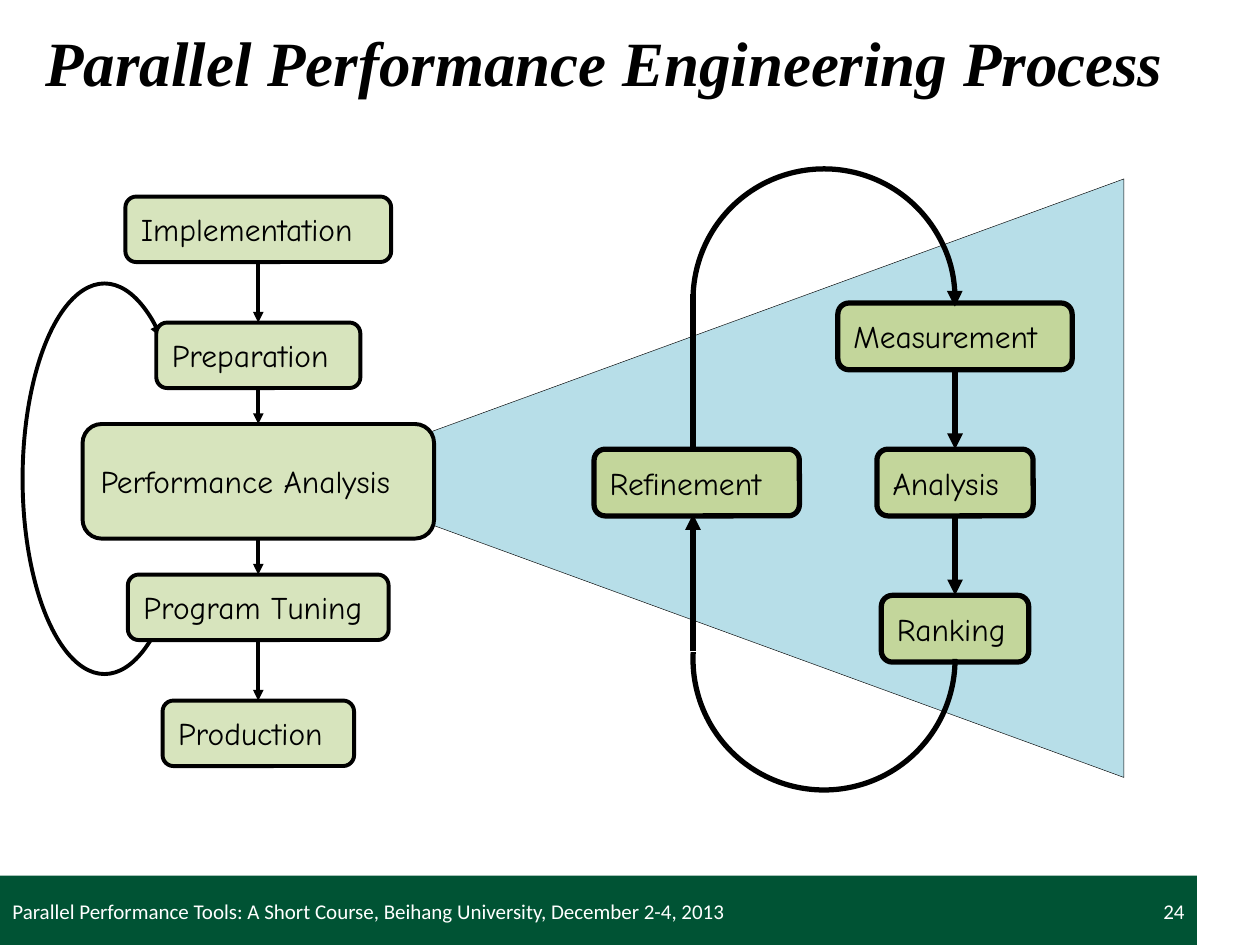
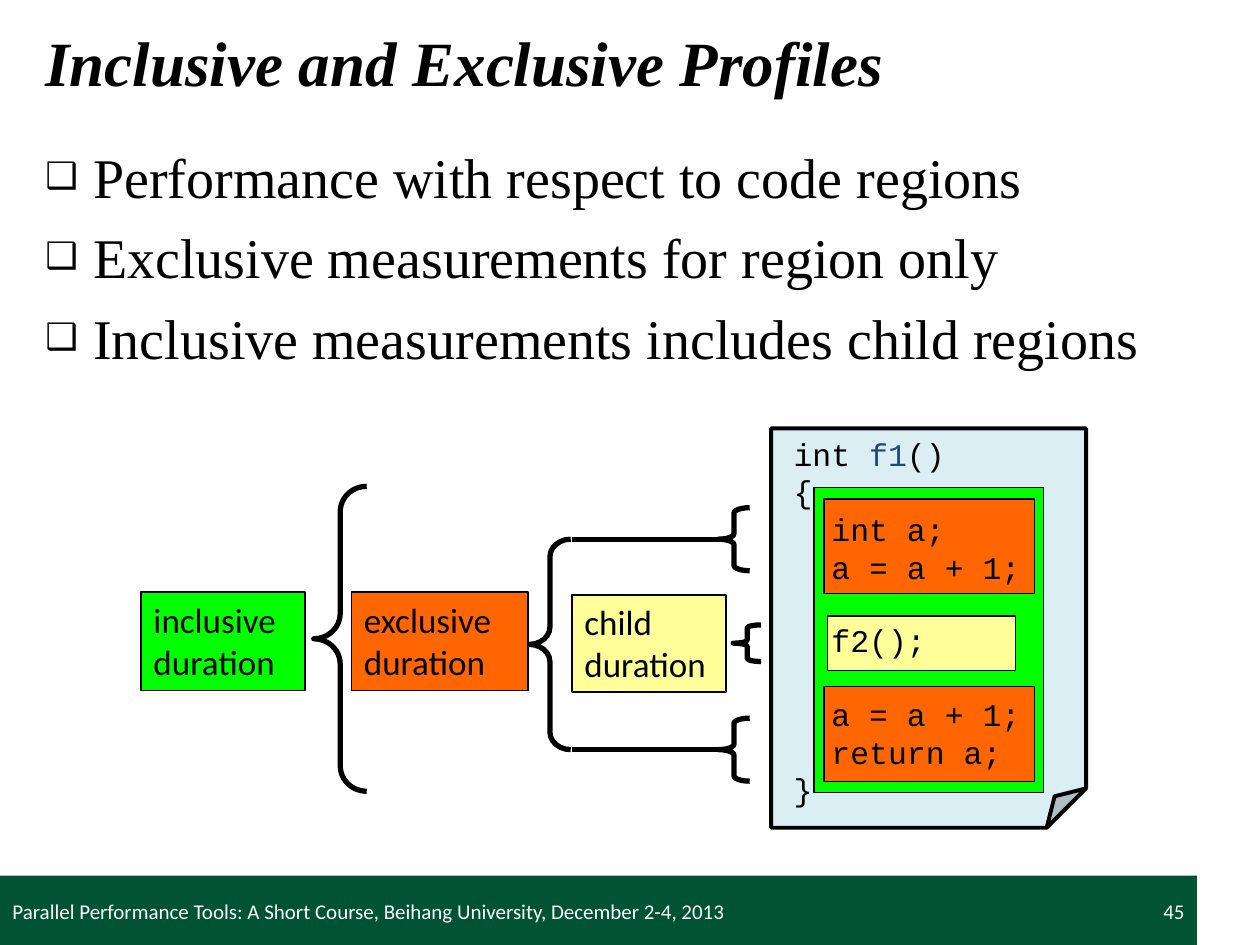
import pptx
import pptx.util
import pptx.dml.color
import pptx.enum.shapes
import pptx.enum.text
import pptx.oxml.ns
from lxml import etree

Inches, Pt = pptx.util.Inches, pptx.util.Pt
RGBColor = pptx.dml.color.RGBColor
SHAPE = pptx.enum.shapes.MSO_SHAPE
ANCHOR = pptx.enum.text.MSO_ANCHOR
ALIGN = pptx.enum.text.PP_ALIGN
qn = pptx.oxml.ns.qn

# Colours and fonts
BLACK, WHITE = RGBColor(0, 0, 0), RGBColor(255, 255, 255)
BAND_GREEN = RGBColor(0x00, 0x53, 0x34)
STEP_GREEN = RGBColor(0xD7, 0xE4, 0xBD)
CYCLE_GREEN = RGBColor(0xC3, 0xD6, 0x9B)
WEDGE_BLUE = RGBColor(0xB7, 0xDE, 0xE8)
PAGE_BLUE = RGBColor(0xDB, 0xEE, 0xF4)
NAME_BLUE = RGBColor(0x1F, 0x49, 0x7D)
LIME = RGBColor(0x00, 0xFF, 0x00)
ORANGE = RGBColor(0xFF, 0x66, 0x00)
YELLOW = RGBColor(0xFF, 0xFF, 0x99)
SERIF, SANS, HAND, MONO = "Times New Roman", "Calibri", "Comic Neue", "Courier New"

# Shared content
WIDTH, HEIGHT = 10, 7.5
FOOTER = "Parallel Performance Tools: A Short Course, Beihang University, December 2-4, 2013"
BAND_WIDTH = 0.95 * WIDTH

# Process slide: (text, width, height) of the steps, one per row
STEPS = [
    ("Implementation", 2.11, 0.52),
    ("Preparation", 1.62, 0.52),
    ("Performance Analysis", 2.79, 0.91),
    ("Program Tuning", 2.07, 0.52),
    ("Production", 1.52, 0.52),
]
STEP_X, STEP_Y, STEP_PITCH = 2.05, 1.82, 1.0
CYCLE = [("Measurement", 1.86), ("Analysis", 1.24), ("Ranking", 1.17)]
CYCLE_X, CYCLE_Y, CYCLE_PITCH, CYCLE_HEIGHT = 7.58, 2.67, 1.16, 0.53
REFINEMENT = ("Refinement", 1.63)
RETURN_X, RADIUS = 5.5, 1.04
ARC_TOP_Y, ARC_BOTTOM_Y = 2.38, 5.23
WEDGE = [(8.92, 1.42), (2.92, 3.61), (2.92, 3.98), (8.92, 6.17)]

# Profiles slide
BULLETS = [
    "Performance with respect to code regions",
    "Exclusive measurements for region only",
    "Inclusive measurements includes child regions",
]
DURATIONS = [  # text, left, top, width, height, colour
    ("inclusive\nduration", 1.12, 4.7, 1.3, 0.78, LIME),
    ("exclusive\nduration", 2.79, 4.7, 1.4, 0.78, ORANGE),
    ("child\nduration", 4.54, 4.72, 1.22, 0.77, YELLOW),
]
REGIONS = [  # left, top, width, height, colour
    (6.46, 3.87, 1.82, 2.42, LIME),
    (6.54, 3.96, 1.67, 0.75, ORANGE),
    (6.57, 4.89, 1.49, 0.43, YELLOW),
    (6.54, 5.45, 1.67, 0.75, ORANGE),
]
BRACES = [  # left, top, width, height, curl
    (2.49, 3.86, 0.42, 2.42, 0.48),
    (4.2, 4.28, 0.33, 1.67, 0.42),
    (5.7, 4.03, 0.25, 0.5, 0.17),
    (5.82, 4.96, 0.22, 0.29, 0.11),
    (5.7, 5.7, 0.25, 0.5, 0.17),
]
BRACE_LINKS = [(4.54, 4.28, 5.79), (4.54, 5.95, 5.7)]  # left, y, right
CODE = [  # runs, indent level, skipped lines before
    ([("int ", BLACK), ("f1", NAME_BLUE), ("()", BLACK)], 0, 0),
    ([("{", BLACK)], 0, 0),
    ([("int a;", BLACK)], 1, 0),
    ([("a = a + 1;", BLACK)], 1, 0),
    ([("f2();", BLACK)], 1, 1),
    ([("a = a + 1;", BLACK)], 1, 1),
    ([("return a;", BLACK)], 1, 0),
    ([("}", BLACK)], 0, 0),
]
CODE_LINE, CODE_INDENT = 20.4, 0.3


def set_font(paragraph, name, size, colour=BLACK):
    font = paragraph.font
    font.name, font.size, font.color.rgb = name, Pt(size), colour


def style_line(line, weight, arrow=False, colour=BLACK):
    line.color.rgb, line.width = colour, Pt(weight)
    if arrow:
        ln = line.fill._xPr
        etree.SubElement(ln, qn("a:tailEnd"), type="triangle")


def style_shape(shape, fill, weight):
    shape.shadow.inherit = False
    if fill is None:
        shape.fill.background()
    else:
        shape.fill.solid()
        shape.fill.fore_color.rgb = fill
    if weight:
        style_line(shape.line, weight)
    else:
        shape.line.fill.background()


def add_box(slide, kind, left, top, width, height, fill, weight):
    box = slide.shapes.add_shape(kind, *map(Inches, (left, top, width, height)))
    style_shape(box, fill, weight)
    return box


def adjust(shape, **values):
    """Set the raw guide values of a preset shape."""
    guides = shape._element.spPr.find(qn("a:prstGeom")).find(qn("a:avLst"))
    for guide in list(guides):
        if guide.get("name") in values:
            guides.remove(guide)
    for name, value in values.items():
        etree.SubElement(guides, qn("a:gd"), name=name, fmla=f"val {round(value)}")


def write(shape, text, font, size, colour=BLACK, anchor=ANCHOR.MIDDLE, align=ALIGN.LEFT):
    frame = shape.text_frame
    frame.word_wrap, frame.vertical_anchor = True, anchor
    frame.text = text
    for paragraph in frame.paragraphs:
        paragraph.alignment = align
        set_font(paragraph, font, size, colour)


def add_rounded(slide, text, x, y, width, height, fill, weight):
    """Rounded box centred on x, y."""
    box = add_box(slide, SHAPE.ROUNDED_RECTANGLE, x - width / 2, y - height / 2,
                  width, height, fill, weight)
    write(box, text, HAND, 18)
    return box


def add_line(slide, start, end, weight, arrow=False):
    line = slide.shapes.add_connector(pptx.enum.shapes.MSO_CONNECTOR.STRAIGHT,
                                      *map(Inches, (*start, *end)))
    style_line(line.line, weight, arrow)
    etree.SubElement(line._element.spPr, qn("a:effectLst"))
    return line


def chain(slide, boxes, weight):
    """Arrows from the bottom of each box to the top of the next."""
    for upper, lower in zip(boxes, boxes[1:]):
        arrow = add_line(slide, (0, 0), (1, 1), weight, arrow=True)
        arrow.begin_connect(upper, 2)
        arrow.end_connect(lower, 0)


def add_arc(slide, x, y, rx, ry, start, end, weight, arrow=False):
    """Clockwise arc around x, y between two angles in degrees."""
    arc = add_box(slide, SHAPE.ARC, x - rx, y - ry, 2 * rx, 2 * ry, None, weight)
    adjust(arc, adj1=start * 60000, adj2=end * 60000)
    if arrow:
        style_line(arc.line, weight, arrow)


def start_slide(prs, layout, title, number):
    """Slide with green footer band, title and page number."""
    slide = prs.slides.add_slide(prs.slide_layouts[layout])
    add_box(slide, SHAPE.RECTANGLE, 0, 6.95, BAND_WIDTH, 0.55, BAND_GREEN, 0)
    heading = slide.shapes.title
    place(heading, 0.26, 0.01, 9.74, 0.96)
    write(heading, title, SERIF, 36)
    heading.text_frame.paragraphs[0].font.bold = True
    heading.text_frame.paragraphs[0].font.italic = True
    for text, left, width, align in [(FOOTER, 0, 6.58, ALIGN.LEFT),
                                     (number, 7.17, BAND_WIDTH - 7.17, ALIGN.RIGHT)]:
        note = slide.shapes.add_textbox(*map(Inches, (left, 6.97, width, 0.53)))
        write(note, text, SANS, 12, WHITE, align=align)
    return slide


def place(shape, left, top, width, height):
    shape.left, shape.top = Inches(left), Inches(top)
    shape.width, shape.height = Inches(width), Inches(height)


def build_process(prs):
    slide = start_slide(prs, 5, "Parallel Performance Engineering Process", "24")

    # Wedge opening from the analysis step
    outline = [(Inches(x), Inches(y)) for x, y in WEDGE]
    builder = slide.shapes.build_freeform(*outline[0])
    builder.add_line_segments(outline[1:], close=True)
    style_shape(builder.convert_to_shape(), WEDGE_BLUE, 0.25)

    # Analysis cycle
    stages = [add_rounded(slide, text, CYCLE_X, CYCLE_Y + row * CYCLE_PITCH, width,
                          CYCLE_HEIGHT, CYCLE_GREEN, 3)
              for row, (text, width) in enumerate(CYCLE)]
    add_rounded(slide, REFINEMENT[0], RETURN_X + 0.03, CYCLE_Y + CYCLE_PITCH,
                REFINEMENT[1], CYCLE_HEIGHT, CYCLE_GREEN, 3)
    arc_x = (RETURN_X + CYCLE_X) / 2
    add_arc(slide, arc_x, ARC_BOTTOM_Y, RADIUS, RADIUS, 0, 183, 3)
    add_line(slide, (RETURN_X, 5.17), (RETURN_X, 4.08), 3, arrow=True)
    add_arc(slide, arc_x, ARC_TOP_Y, RADIUS, RADIUS, 180, 3, 3, arrow=True)
    add_line(slide, (RETURN_X, 2.33), (RETURN_X, 3.58), 3)
    chain(slide, stages, 3)

    # Steps and the loop from tuning back to preparation
    add_arc(slide, 0.83, 3.8, 0.65, 1.55, 70.4, 291.7, 2.25, arrow=True)
    steps = [add_rounded(slide, text, STEP_X, STEP_Y + row * STEP_PITCH, width,
                         height, STEP_GREEN, 2.25)
             for row, (text, width, height) in enumerate(STEPS)]
    chain(slide, steps, 2)


def build_profiles(prs):
    slide = start_slide(prs, 1, "Inclusive and Exclusive Profiles", "45")

    # Bullets
    body = slide.placeholders[1]
    place(body, 0.26, 1.08, 9.74, 5.89)
    write(body, "\n".join(BULLETS), SERIF, 32, anchor=ANCHOR.TOP)
    for paragraph in body.text_frame.paragraphs:
        paragraph.space_before = Pt(7.5)
        props = paragraph._p.get_or_add_pPr()
        props.set("marL", str(Inches(0.38)))
        props.set("indent", str(-Inches(0.38)))
        size = etree.Element(qn("a:buSzPct"), val="65000")
        mark = etree.Element(qn("a:buChar"), char="❑")
        props.find(qn("a:spcBef")).addnext(size)
        size.addnext(mark)

    # Code page with its coloured regions
    page = add_box(slide, SHAPE.FOLDED_CORNER, 6.12, 3.4, 2.5, 3.17, PAGE_BLUE, 2.25)
    adjust(page, adj=12500)
    for left, top, width, height, colour in REGIONS:
        add_box(slide, SHAPE.RECTANGLE, left, top, width, height, colour, 0.75)

    # Durations and braces
    for *bounds, curl in BRACES:
        brace = add_box(slide, SHAPE.LEFT_BRACE, *bounds, None, 3)
        adjust(brace, adj1=curl * 100000, adj2=50000)
    for text, *bounds, colour in DURATIONS:
        label = add_box(slide, SHAPE.RECTANGLE, *bounds, colour, 1)
        write(label, text, SANS, 20, anchor=ANCHOR.TOP)
    for left, y, right in BRACE_LINKS:
        add_line(slide, (left, y), (right, y), 3)

    # Code lines
    code = slide.shapes.add_textbox(*map(Inches, (6.2, 3.4, 2.1, 3.1))).text_frame
    code.word_wrap = True
    for row, (runs, level, skipped) in enumerate(CODE):
        line = code.add_paragraph() if row else code.paragraphs[0]
        set_font(line, MONO, 18)
        line.space_before = Pt(skipped * CODE_LINE)
        line._p.get_or_add_pPr().set("marL", str(Inches(level * CODE_INDENT)))
        for text, colour in runs:
            run = line.add_run()
            run.text = text
            run.font.color.rgb = colour


def main():
    prs = pptx.Presentation()
    prs.slide_width, prs.slide_height = Inches(WIDTH), Inches(HEIGHT)
    build_process(prs)
    build_profiles(prs)
    prs.save("out.pptx")


if __name__ == "__main__":
    main()
